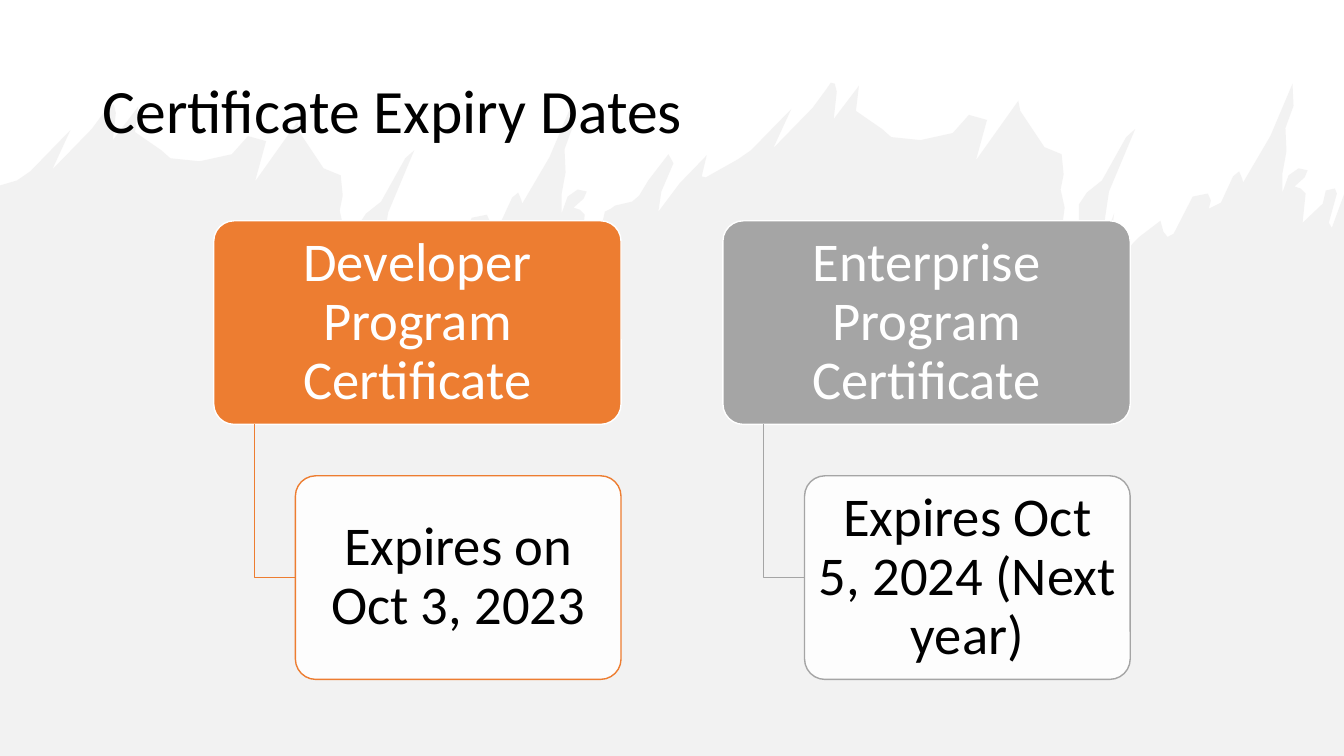
import pptx
import pptx.util
import pptx.dml.color
import pptx.enum.shapes
import pptx.enum.text
import pptx.oxml.ns
from lxml import etree

Inches = pptx.util.Inches
RGBColor = pptx.dml.color.RGBColor

BLACK = RGBColor(0x00, 0x00, 0x00)
WHITE = RGBColor(0xFF, 0xFF, 0xFF)
ORANGE = RGBColor(0xED, 0x7D, 0x31)
GREY = RGBColor(0xA5, 0xA5, 0xA5)
MIST = RGBColor(0xE7, 0xE6, 0xE6)

CREST = [
    (7.32, 1.58), (7.45, 1.49), (7.85, 1.08), (7.67, 1.47), (8.06, 1.07), (8.2, 0.88),
    (8.24, 0.82), (8.28, 0.83), (8.3, 0.91), (8.27, 1.18), (8.52, 0.85), (8.49, 1.1),
    (8.59, 1.17), (8.75, 1.28), (8.84, 1.36), (9.13, 1.39), (9.45, 1.32), (9.61, 1.14),
    (9.79, 1.19), (9.68, 1.59), (10.1, 1.0), (10.12, 1.1), (10.36, 1.46), (10.53, 1.53),
    (10.55, 1.73), (10.52, 1.88), (10.56, 2.06), (10.54, 2.21), (10.57, 2.34), (10.7, 2.21),
    (10.7, 2.03), (10.78, 1.91), (10.93, 1.79), (11.17, 1.36), (11.26, 1.28), (11.0, 1.9),
    (10.91, 2.5), (11.05, 2.12), (11.02, 2.38), (11.12, 2.52), (11.15, 2.52), (11.24, 2.41),
    (11.3, 2.35), (11.51, 2.19), (11.54, 2.3), (11.58, 2.35), (11.64, 2.32), (11.83, 1.95),
    (11.98, 1.92), (12.01, 1.99), (11.99, 2.07), (12.11, 2.01), (12.23, 1.75), (12.29, 1.7),
    (12.32, 1.77), (12.33, 1.81), (12.6, 1.35), (12.82, 0.83), (12.83, 1.05), (12.75, 1.27),
    (12.76, 1.5), (12.72, 1.72), (12.72, 1.91), (12.78, 1.74), (12.88, 1.67), (12.97, 1.69),
    (12.94, 1.76), (12.84, 1.85), (12.9, 1.87), (12.95, 1.92), (12.92, 2.21), (13.12, 2.02),
    (13.15, 1.89),
]
TROUGH = [
    (6.06, 2.07), (6.1, 2.04), (6.27, 2.0), (6.34, 1.94), (6.43, 1.79), (6.63, 1.53),
    (6.68, 1.62), (6.56, 1.9), (6.53, 2.1), (6.74, 1.82), (7.01, 1.54), (6.96, 1.75), (7.0, 1.76),
]
RIGHT_EDGE = [(13.24, 1.87), (13.26, 1.92), (13.18, 2.21), (13.21, 2.26), (13.33, 1.93)]
CREST_SHIFT = (-7.15, 0.21)

CERTIFICATES = [
    ("Developer Program Certificate", "Expires on Oct 3, 2023", ORANGE),
    ("Enterprise Program Certificate", "Expires Oct 5, 2024 (Next year)", GREY),
]
FIRST_LEFT, COLUMN_PITCH = 2.12, 5.05
NAME_TOP, EXPIRY_TOP = 2.19, 4.72
NAME_WIDTH, EXPIRY_WIDTH, BOX_HEIGHT = 4.04, 3.23, 2.02


class CertificateSlide:
    """Holds the font and the current slide, and draws each kind of element."""

    def __init__(self, slide, font_name):
        self.shapes = slide.shapes
        self.font_name = font_name

    def paint(self, shape, fill, line, alpha=100):
        shape.shadow.inherit = False
        if fill is None:
            shape.fill.background()
        else:
            shape.fill.solid()
            shape.fill.fore_color.rgb = fill
            if alpha < 100:
                color = shape.element.spPr.find(".//" + pptx.oxml.ns.qn("a:srgbClr"))
                etree.SubElement(color, pptx.oxml.ns.qn("a:alpha"), val=str(alpha * 1000))
        if line is None:
            shape.line.fill.background()
        else:
            shape.line.color.rgb = line
            shape.line.width = pptx.util.Pt(1)

    def set_text(self, shape, text, size, color, align):
        frame = shape.text_frame
        frame.word_wrap = True
        frame.vertical_anchor = pptx.enum.text.MSO_ANCHOR.MIDDLE
        frame.text = text
        paragraph = frame.paragraphs[0]
        paragraph.alignment = align
        paragraph.line_spacing = 0.9
        font = paragraph.runs[0].font
        font.name = self.font_name
        font.size = pptx.util.Pt(size)
        font.color.rgb = color

    def outline(self, points, fill=None, line=None, alpha=100, close=True):
        corners = [(Inches(x), Inches(y)) for x, y in points]
        builder = self.shapes.build_freeform(*corners[0])
        builder.add_line_segments(corners[1:], close=close)
        self.paint(builder.convert_to_shape(), fill, line, alpha)

    def title(self, text, left, top, width, height):
        box = self.shapes.add_textbox(Inches(left), Inches(top), Inches(width), Inches(height))
        self.set_text(box, text, 44, BLACK, pptx.enum.text.PP_ALIGN.LEFT)

    def card(self, text, left, top, width, fill, line, color, alpha=100):
        card = self.shapes.add_shape(
            pptx.enum.shapes.MSO_SHAPE.ROUNDED_RECTANGLE,
            Inches(left), Inches(top), Inches(width), Inches(BOX_HEIGHT))
        card.adjustments[0] = 0.1
        self.paint(card, fill, line, alpha)
        frame = card.text_frame
        frame.margin_left = frame.margin_right = Inches(0.08)
        frame.margin_top = frame.margin_bottom = Inches(0.05)
        self.set_text(card, text, 39, color, pptx.enum.text.PP_ALIGN.CENTER)


def main():
    presentation = pptx.Presentation()
    presentation.slide_width = Inches(13.33)
    presentation.slide_height = Inches(7.5)
    page = CertificateSlide(
        presentation.slides.add_slide(presentation.slide_layouts[6]), "Calibri")

    shift_x, shift_y = CREST_SHIFT
    left_crest = [(x + shift_x, y + shift_y) for x, y in CREST]
    splash = [(0, 7.5), (0, 1.84)] + left_crest + TROUGH + CREST + RIGHT_EDGE + [(13.33, 7.5)]
    page.outline(splash, fill=MIST, alpha=50)
    page.title("Certificate Expiry Dates", 0.92, 0.4, 11.5, 1.45)

    for column, (name, expiry, accent) in enumerate(CERTIFICATES):
        left = FIRST_LEFT + column * COLUMN_PITCH
        expiry_left = left + NAME_WIDTH - EXPIRY_WIDTH
        stem = left + NAME_WIDTH / 10
        middle = EXPIRY_TOP + BOX_HEIGHT / 2
        page.card(name, left, NAME_TOP, NAME_WIDTH, accent, WHITE, WHITE)
        page.outline([(stem, NAME_TOP + BOX_HEIGHT), (stem, middle), (expiry_left, middle)],
                     line=accent, close=False)
        page.card(expiry, expiry_left, EXPIRY_TOP, EXPIRY_WIDTH, WHITE, accent, BLACK, alpha=90)

    presentation.save("out.pptx")


if __name__ == "__main__":
    main()
